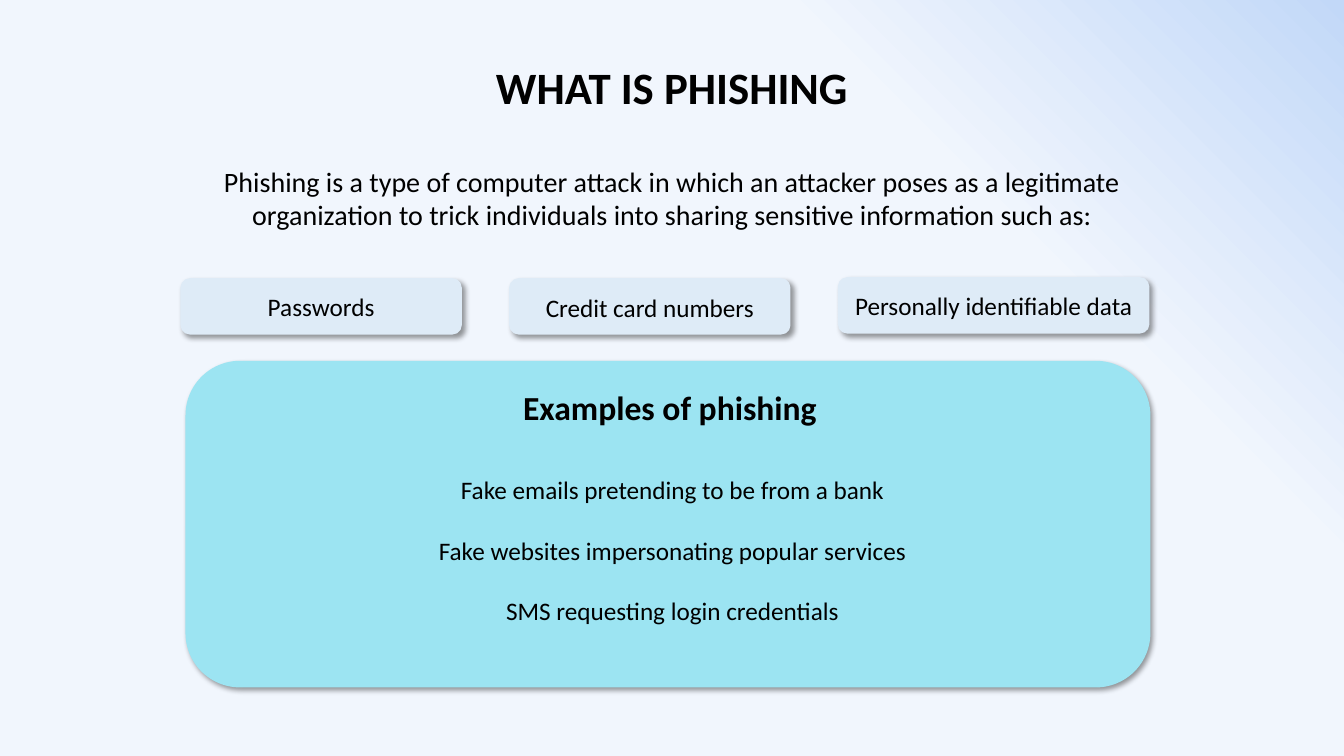
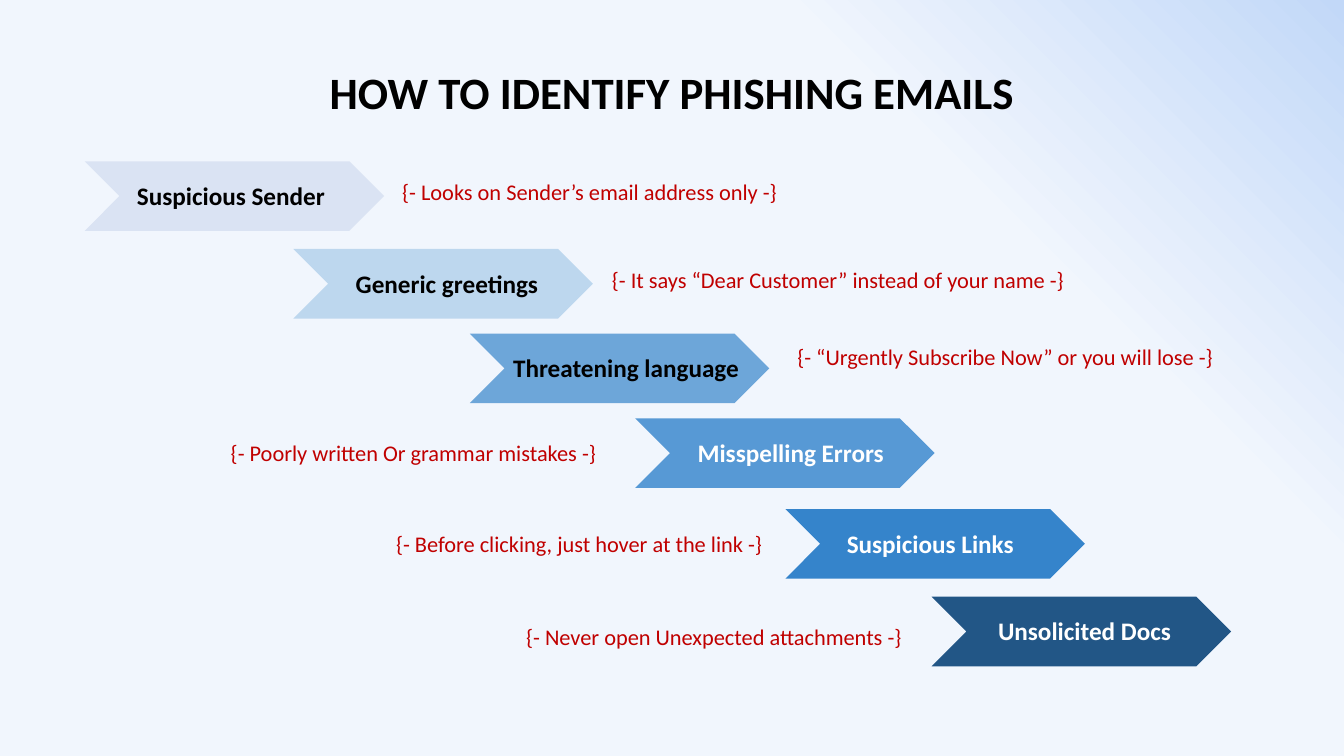
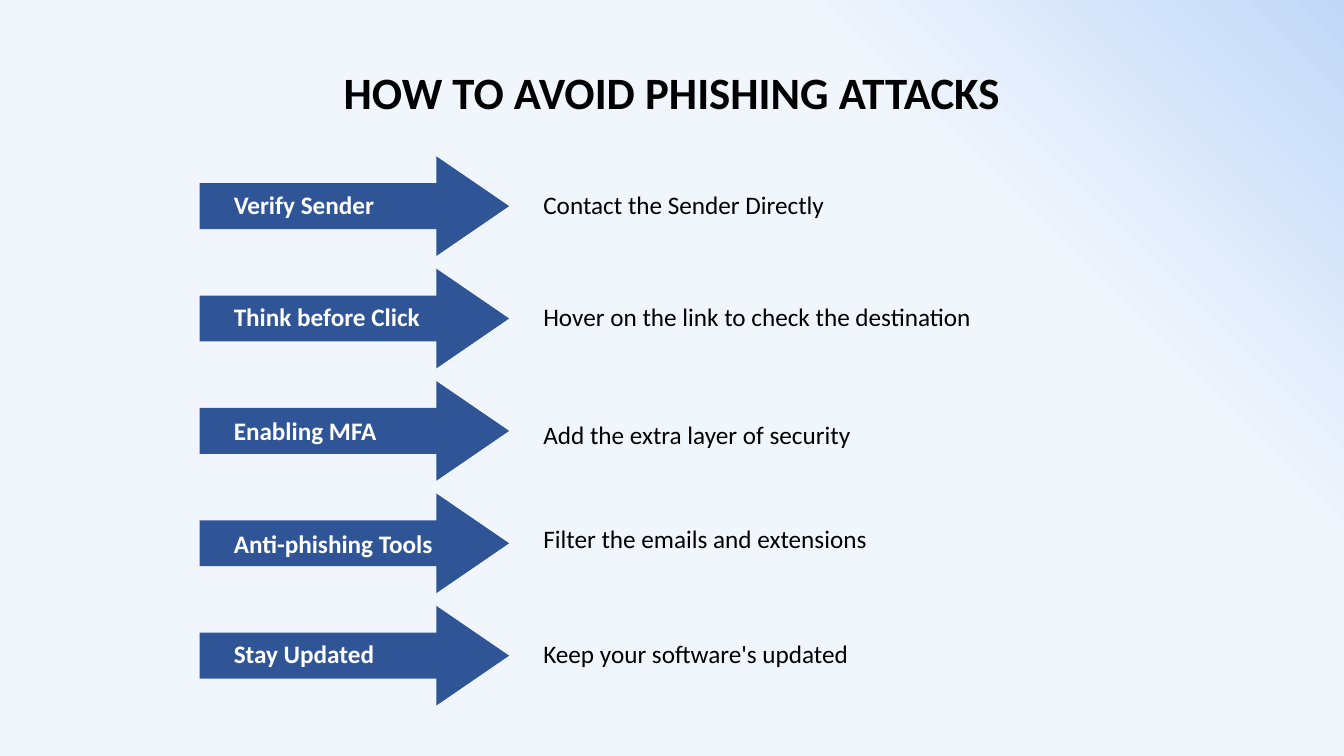
import pptx
import pptx.util
import pptx.oxml
import pptx.dml.color
import pptx.enum.shapes
import pptx.enum.text

Inches, Pt = pptx.util.Inches, pptx.util.Pt
RGBColor = pptx.dml.color.RGBColor
MSO_SHAPE = pptx.enum.shapes.MSO_SHAPE
PP_ALIGN = pptx.enum.text.PP_ALIGN

FONT = "Calibri"
WIDTH, HEIGHT = 13.33, 7.5
BLACK = RGBColor(0x00, 0x00, 0x00)
WHITE = RGBColor(0xFF, 0xFF, 0xFF)
RED = RGBColor(0xC0, 0x00, 0x00)
CORNER_BLUE = RGBColor(0xC2, 0xD8, 0xF8)
PALE_BLUE = RGBColor(0xF1, 0xF6, 0xFD)
TAG_BLUE = RGBColor(0xDE, 0xEB, 0xF7)
PANEL_CYAN = RGBColor(0x9C, 0xE4, 0xF2)
ARROW_BLUE = RGBColor(0x2F, 0x55, 0x97)
STEP_1 = RGBColor(0xDA, 0xE3, 0xF3)
STEP_2 = RGBColor(0xBD, 0xD7, 0xEE)
STEP_3 = RGBColor(0x6D, 0xA6, 0xD9)
STEP_4 = RGBColor(0x57, 0x99, 0xD5)
STEP_5 = RGBColor(0x35, 0x84, 0xCB)
STEP_6 = RGBColor(0x22, 0x56, 0x86)

SHADOW_XML = (
    '<a:effectLst xmlns:a="http://schemas.openxmlformats.org/drawingml/2006/main">'
    '<a:outerShdw blurRad="50800" dist="38100" dir="2700000" algn="tl" rotWithShape="0">'
    '<a:srgbClr val="000000"><a:alpha val="40000"/></a:srgbClr>'
    '</a:outerShdw></a:effectLst>'
)


class Deck:
    def __init__(self):
        self.prs = pptx.Presentation()
        self.prs.slide_width = Inches(WIDTH)
        self.prs.slide_height = Inches(HEIGHT)
        self.s = None

    def new_slide(self, title, top, width):
        """Start a slide with the gradient backdrop and a centred title."""
        self.s = self.prs.slides.add_slide(self.prs.slide_layouts[6])
        backdrop = self.shape(MSO_SHAPE.RECTANGLE, 0, 0, WIDTH, HEIGHT, PALE_BLUE)
        backdrop.fill.gradient()
        backdrop.fill.gradient_angle = 225
        stops = backdrop.fill.gradient_stops
        for stop, color, position in zip(stops, (CORNER_BLUE, PALE_BLUE), (0, 0.27)):
            stop.color.rgb = color
            stop.position = position
        self.text(title, (WIDTH - width) / 2, top, width, 0.64, size=32,
                  bold=True, align=PP_ALIGN.CENTER, wrap=False)

    def shape(self, kind, x, y, w, h, color, adjustments=()):
        sp = self.s.shapes.add_shape(kind, Inches(x), Inches(y), Inches(w), Inches(h))
        for i, value in enumerate(adjustments):
            sp.adjustments[i] = value
        sp.shadow.inherit = False
        sp.fill.solid()
        sp.fill.fore_color.rgb = color
        sp.line.fill.background()
        return sp

    def card(self, x, y, w, h, color):
        """Rounded rectangle with a soft shadow to the lower right."""
        sp = self.shape(MSO_SHAPE.ROUNDED_RECTANGLE, x, y, w, h, color)
        props = sp._element.spPr
        props.replace(props.effectLst, pptx.oxml.parse_xml(SHADOW_XML))

    def text(self, text, x, y, w, h, size=18, color=BLACK, bold=False,
             align=PP_ALIGN.LEFT, wrap=True, gap=0):
        """Text box with one paragraph per line, gap points apart."""
        box = self.s.shapes.add_textbox(Inches(x), Inches(y), Inches(w), Inches(h))
        tf = box.text_frame
        tf.word_wrap = wrap
        tf.auto_size = pptx.enum.text.MSO_AUTO_SIZE.SHAPE_TO_FIT_TEXT
        for i, line in enumerate(text.split("\n")):
            p = tf.add_paragraph() if i else tf.paragraphs[0]
            p.alignment = align
            if i:
                p.space_before = Pt(gap)
            r = p.add_run()
            r.text = line
            r.font.name = FONT
            r.font.size = Pt(size)
            r.font.bold = bold
            r.font.color.rgb = color


def what_is_phishing(deck):
    deck.new_slide("WHAT IS PHISHING", 0.54, 3.73)
    deck.text("Phishing is a type of computer attack in which an attacker poses as a "
              "legitimate organization to trick individuals into sharing sensitive "
              "information such as:", 1.71, 1.58, 9.91, 0.77, size=20,
              align=PP_ALIGN.CENTER)
    # label, card left, top and width, text left, top and width
    targets = [
        ("Passwords", 1.79, 2.76, 2.79, 2.51, 2.84, 1.35),
        ("Credit card numbers", 5.05, 2.76, 2.79, 5.3, 2.85, 2.29),
        ("Personally identifiable data", 8.31, 2.75, 3.09, 8.21, 2.83, 3.29),
    ]
    for label, x, y, w, text_x, text_y, text_w in targets:
        deck.card(x, y, w, 0.56, TAG_BLUE)
        deck.text(label, text_x, text_y, text_w, 0.4, align=PP_ALIGN.CENTER)
    deck.card(1.84, 3.58, 9.57, 3.24, PANEL_CYAN)
    deck.text("Examples of phishing", 5.09, 3.79, 3.14, 0.5, size=24, bold=True,
              wrap=False)
    deck.text("Fake emails pretending to be from a bank\n"
              "Fake websites impersonating popular services\n"
              "SMS requesting login credentials", 4.19, 4.66, 4.96, 1.62,
              align=PP_ALIGN.CENTER, gap=21.5)


def identify_emails(deck):
    deck.new_slide("HOW TO IDENTIFY PHISHING EMAILS", 0.59, 7.05)
    # label, chevron left and top, fill, text colour, label left,
    # hint, hint left, top and width
    signs = [
        ("Suspicious Sender", 0.84, 1.6, STEP_1, BLACK, 1.26,
         "{- Looks on Sender’s email address only -}", 3.89, 1.72, 3.98),
        ("Generic greetings", 2.91, 2.47, STEP_2, BLACK, 3.43,
         "{- It says “Dear Customer” instead of your name -}", 5.97, 2.59, 4.79),
        ("Threatening language", 4.66, 3.31, STEP_3, BLACK, 4.99,
         "{- “Urgently Subscribe Now” or you will lose -}", 7.81, 3.36, 4.4),
        ("Misspelling Errors", 6.3, 4.15, STEP_4, WHITE, 6.82,
         "{- Poorly written Or grammar mistakes -}", 2.19, 4.31, 3.98),
        ("Suspicious Links", 7.79, 5.05, STEP_5, WHITE, 8.3,
         "{- Before clicking, just hover at the link -}", 3.83, 5.21, 3.98),
        ("Unsolicited Docs", 9.24, 5.92, STEP_6, WHITE, 9.8,
         "{- Never open Unexpected attachments -}", 5.12, 6.13, 3.98),
    ]
    for label, x, y, fill, color, label_x, hint, hint_x, hint_y, hint_w in signs:
        deck.shape(MSO_SHAPE.CHEVRON, x, y, 2.97, 0.69, fill)
        deck.text(label, label_x, y + 0.14, 2.45, 0.4, color=color, bold=True)
        deck.text(hint, hint_x, hint_y, hint_w, 0.37, size=16, color=RED)


def avoid_attacks(deck):
    deck.new_slide("HOW TO AVOID PHISHING ATTACKS", 0.59, 6.77)
    # label, label top, advice, advice top
    habits = [
        ("Verify Sender", 1.83, "Contact the Sender Directly", 1.83),
        ("Think before Click", 2.94, "Hover on the link to check the destination", 2.94),
        ("Enabling MFA", 4.07, "Add the extra layer of security", 4.11),
        ("Anti-phishing Tools", 5.19, "Filter the emails and extensions", 5.14),
        ("Stay Updated", 6.28, "Keep your software's updated", 6.28),
    ]
    pitch = (6.01 - 1.55) / (len(habits) - 1)
    for i, (label, label_y, advice, advice_y) in enumerate(habits):
        deck.shape(MSO_SHAPE.RIGHT_ARROW, 1.98, 1.55 + i * pitch, 3.07, 0.99,
                   ARROW_BLUE, adjustments=(0.46, 0.73))
        deck.text(label, 2.22, label_y, 2.28, 0.4, color=WHITE, bold=True)
        deck.text(advice, 5.29, advice_y, 4.55, 0.4)


def main():
    deck = Deck()
    what_is_phishing(deck)
    identify_emails(deck)
    avoid_attacks(deck)
    deck.prs.save("out.pptx")


if __name__ == "__main__":
    main()
